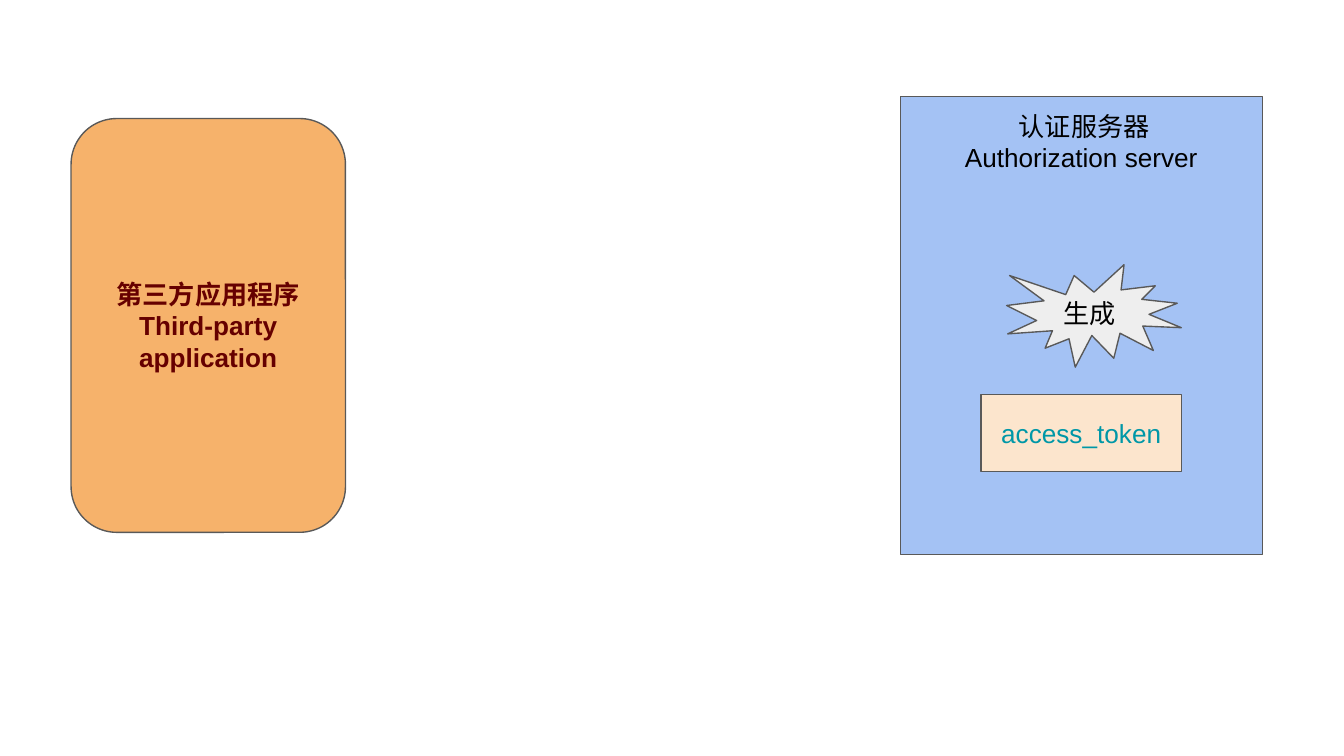
from pptx import Presentation
from pptx.dml.color import RGBColor
from pptx.enum.shapes import MSO_SHAPE
from pptx.enum.text import MSO_ANCHOR, PP_ALIGN
from pptx.util import Pt

COLORS = {
    "outline": "595959",
    "application": "F6B26B",
    "application text": "660000",
    "server": "A4C2F4",
    "token": "FCE5CD",
    "token text": "0097A7",
    "burst": "EEEEEE",
    "text": "000000",
}
INSET = 7.2


def color(name):
    return RGBColor.from_string(COLORS[name])


def add_box(slide, kind, bounds, fill, lines, text_color="text", bold=False,
            anchor=MSO_ANCHOR.MIDDLE, alignment=PP_ALIGN.CENTER):
    """Add an outlined shape with one paragraph for each line of text."""
    shape = slide.shapes.add_shape(kind, *(Pt(length) for length in bounds))
    shape.shadow.inherit = False
    shape.fill.solid()
    shape.fill.fore_color.rgb = color(fill)
    shape.line.color.rgb = color("outline")
    shape.line.width = Pt(0.75)

    frame = shape.text_frame
    frame.word_wrap = True
    frame.vertical_anchor = anchor
    frame.margin_left = frame.margin_right = Pt(INSET)
    frame.margin_top = frame.margin_bottom = Pt(INSET)
    frame.text = "\n".join(lines)
    for paragraph in frame.paragraphs:
        paragraph.alignment = alignment
        paragraph.font.name = "Arial"
        paragraph.font.size = Pt(14)
        paragraph.font.bold = bold
        paragraph.font.color.rgb = color(text_color)


def main():
    presentation = Presentation()
    presentation.slide_width = Pt(720)
    presentation.slide_height = Pt(405)
    slide = presentation.slides.add_slide(presentation.slide_layouts[6])

    add_box(slide, MSO_SHAPE.ROUNDED_RECTANGLE, (38.1, 63.5, 147, 221.7),
            "application", ["第三方应用程序", "Third-party application"],
            text_color="application text", bold=True)
    add_box(slide, MSO_SHAPE.RECTANGLE, (482.4, 51.8, 193.8, 245.4),
            "server", [" 认证服务器", "Authorization server"],
            anchor=MSO_ANCHOR.TOP)
    add_box(slide, MSO_SHAPE.RECTANGLE, (525.6, 211.5, 107.3, 41.1),
            "token", ["access_token"], text_color="token text")
    add_box(slide, MSO_SHAPE.EXPLOSION1, (539.3, 141.8, 93.6, 54.9),
            "burst", [" 生成"], alignment=PP_ALIGN.LEFT)

    presentation.save("out.pptx")


if __name__ == "__main__":
    main()
